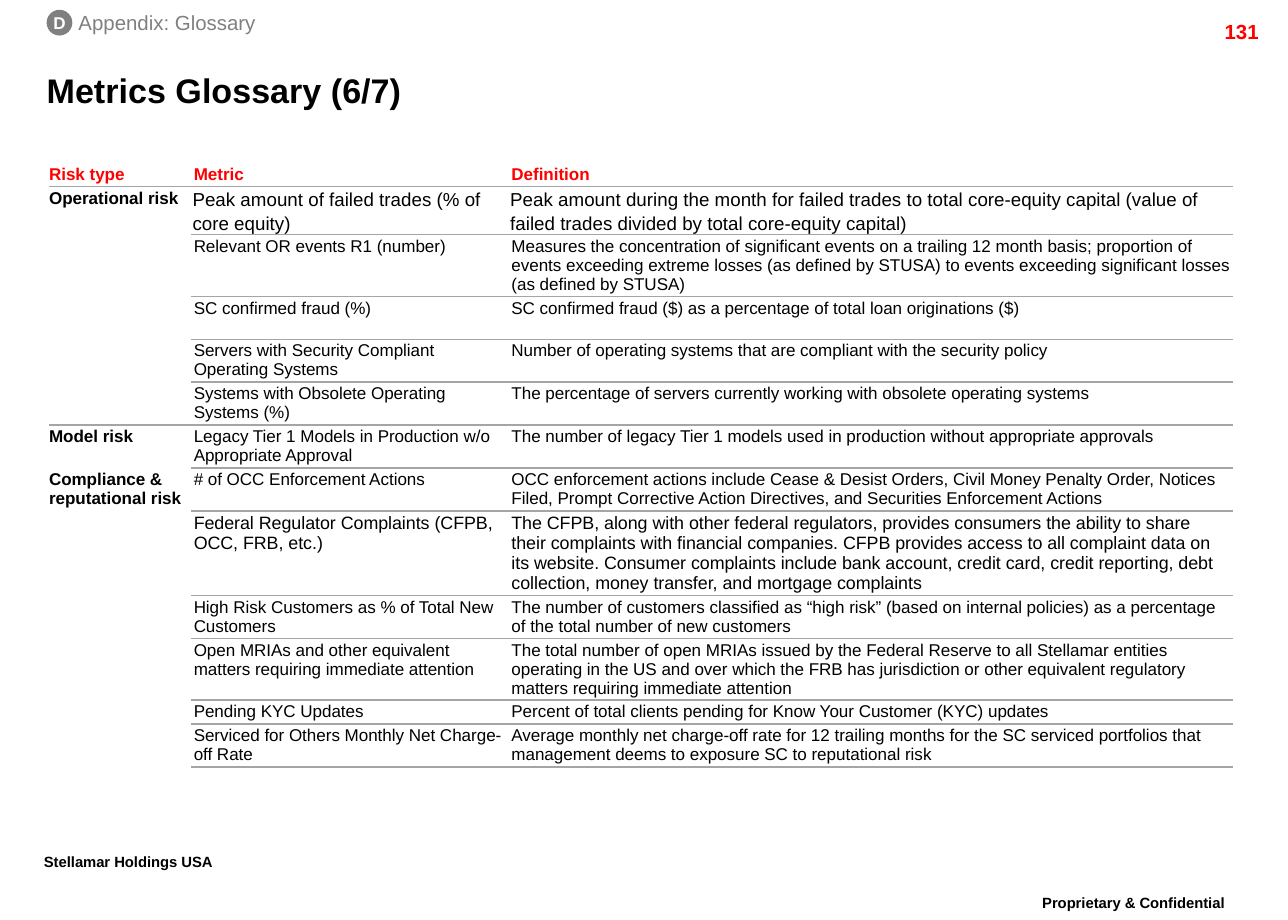
from dataclasses import dataclass

from lxml import etree
from pptx import Presentation
from pptx.dml.color import RGBColor
from pptx.enum.shapes import MSO_SHAPE
from pptx.enum.text import MSO_ANCHOR, PP_ALIGN
from pptx.oxml.ns import qn
from pptx.util import Inches, Pt

LEFT, CENTER, RIGHT = PP_ALIGN.LEFT, PP_ALIGN.CENTER, PP_ALIGN.RIGHT
TOP, MIDDLE = MSO_ANCHOR.TOP, MSO_ANCHOR.MIDDLE
OVAL = MSO_SHAPE.OVAL
PLAIN_TABLE_STYLE = "{2D5ABB26-0587-4C30-8999-92F81FD0307C}"
COLUMN_WIDTHS = (1.16, 2.59, 5.9)
CELL_INSET = 0.02
LINE_PITCH = 1.115


@dataclass(frozen=True)
class Theme:
    """Colours, font and type sizes of the slide."""
    font: str = "Arial"
    black: str = "000000"
    white: str = "FFFFFF"
    red: str = "FF0000"
    grey: str = "808080"
    rule: str = "A5A5A5"
    title: float = 20
    footer: float = 15
    label: float = 12
    body: float = 10


THEME = Theme()


@dataclass(frozen=True)
class Metric:
    """One glossary row with the number of text lines it needs."""
    lines: int
    name: str
    definition: str
    size: float = THEME.body
    spacing: float = 1.0
    inset: float = CELL_INSET

    def height(self):
        """Return the row height in inches."""
        return self.lines * self.size * self.spacing * LINE_PITCH / 72 + 2 * self.inset


HEADINGS = ("Risk type", "Metric", "Definition")
GLOSSARY = (
    ("Operational risk", (
        Metric(2, "Peak amount of failed trades (% of core equity)",
               "Peak amount during the month for failed trades to total core-equity capital "
               "(value of failed trades divided by total core-equity capital)", 11, 1.15, 0),
        Metric(3, "Relevant OR events R1 (number)",
               "Measures the concentration of significant events on a trailing 12 month basis; "
               "proportion of events exceeding extreme losses (as defined by STUSA) to events "
               "exceeding significant losses (as defined by STUSA)"),
        Metric(2, "SC confirmed fraud (%)",
               "SC confirmed fraud ($) as a percentage of total loan originations ($)"),
        Metric(2, "Servers with Security Compliant Operating Systems",
               "Number of operating systems that are compliant with the security policy"),
        Metric(2, "Systems with Obsolete Operating Systems (%)",
               "The percentage of servers currently working with obsolete operating systems"),
    )),
    ("Model risk", (
        Metric(2, "Legacy Tier 1 Models in Production w/o Appropriate Approval",
               "The number of legacy Tier 1 models used in production without appropriate "
               "approvals"),
    )),
    ("Compliance & reputational risk", (
        Metric(2, "# of OCC Enforcement Actions",
               "OCC enforcement actions include Cease & Desist Orders, Civil Money Penalty "
               "Order, Notices Filed, Prompt Corrective Action Directives, and Securities "
               "Enforcement Actions"),
        Metric(4, "Federal Regulator Complaints (CFPB, OCC, FRB, etc.)",
               "The CFPB, along with other federal regulators, provides consumers the ability "
               "to share their complaints with financial companies. CFPB provides access to all "
               "complaint data on its website. Consumer complaints include bank account, credit "
               "card, credit reporting, debt collection, money transfer, and mortgage "
               "complaints", 10.5),
        Metric(2, "High Risk Customers as % of Total New Customers",
               "The number of customers classified as “high risk” (based on internal policies) "
               "as a percentage of the total number of new customers"),
        Metric(3, "Open MRIAs and other equivalent matters requiring immediate attention",
               "The total number of open MRIAs issued by the Federal Reserve to all Stellamar "
               "entities operating in the US and over which the FRB has jurisdiction or other "
               "equivalent regulatory matters requiring immediate attention"),
        Metric(1, "Pending KYC Updates",
               "Percent of total clients pending for Know Your Customer (KYC) updates"),
        Metric(2, "Serviced for Others Monthly Net Charge-off Rate",
               "Average monthly net charge-off rate for 12 trailing months for the SC serviced "
               "portfolios that management deems to exposure SC to reputational risk"),
    )),
)


def write(frame, text, size, color, bold=False, align=LEFT, spacing=1.0):
    """Fill a text frame with one formatted paragraph and return its run."""
    frame.text = text
    paragraph = frame.paragraphs[0]
    paragraph.alignment = align
    paragraph.line_spacing = spacing
    span = paragraph.runs[0]
    span.font.name = THEME.font
    span.font.size = Pt(size)
    span.font.bold = bold
    span.font.color.rgb = RGBColor.from_string(color)
    return span


def set_insets(holder, left, top, right, bottom):
    """Set the inner margins of a text frame or a table cell."""
    holder.margin_left, holder.margin_top = Inches(left), Inches(top)
    holder.margin_right, holder.margin_bottom = Inches(right), Inches(bottom)


def add_label(page, place, text, size, color, bold=False, align=LEFT,
              anchor=TOP, inset=(0, 0), spacing=1.0):
    """Add a text box and return its run."""
    box = page.shapes.add_textbox(*map(Inches, place))
    frame = box.text_frame
    frame.word_wrap = True
    frame.vertical_anchor = anchor
    set_insets(frame, *inset, *inset)
    return write(frame, text, size, color, bold, align, spacing)


def add_footer(page, place, text, align):
    """Add a raised bold footer line."""
    span = add_label(page, place, text, THEME.footer, THEME.black, True, align,
                     inset=(0.1, 0.05), spacing=0.86)
    span.font._element.set("baseline", "30000")


def add_badge(page, place, letter):
    """Add the round section badge."""
    badge = page.shapes.add_shape(OVAL, *map(Inches, place))
    badge.shadow.inherit = False
    badge.fill.solid()
    badge.fill.fore_color.rgb = RGBColor.from_string(THEME.grey)
    badge.line.fill.background()
    frame = badge.text_frame
    frame.word_wrap = False
    frame.vertical_anchor = MIDDLE
    set_insets(frame, 0, 0, 0, 0)
    write(frame, letter, THEME.body, THEME.white, True, CENTER)


def rule_cell(cell, side, visible=True):
    """Draw or clear the rule on one side of a cell."""
    line = etree.Element(qn(f"a:{side}"), w=str(Pt(1)))
    if visible:
        fill = etree.SubElement(line, qn("a:solidFill"))
        etree.SubElement(fill, qn("a:srgbClr"), val=THEME.rule)
    else:
        etree.SubElement(line, qn("a:noFill"))
    cell._tc.get_or_add_tcPr().insert(0, line)


def fill_cell(cell, text, size=THEME.body, color=THEME.black, bold=False, anchor=TOP,
              left=CELL_INSET, inset=CELL_INSET, spacing=1.0):
    """Write a table cell without background, with a fixed line pitch."""
    cell.fill.background()
    cell.vertical_anchor = anchor
    set_insets(cell, left, inset, CELL_INSET, inset)
    pitch = Pt(size * spacing * LINE_PITCH)
    write(cell.text_frame, text, size, color, bold, spacing=pitch)


def add_glossary(page):
    """Add the table of risk types, metrics and definitions."""
    metrics = [metric for _, group in GLOSSARY for metric in group]
    heights = [0.2] + [metric.height() for metric in metrics]
    table = page.shapes.add_table(
        len(heights), len(HEADINGS), Inches(0.4), Inches(1.32),
        Inches(sum(COLUMN_WIDTHS)), Inches(sum(heights))).table
    table.first_row = table.horz_banding = False
    table._tbl.tblPr.find(qn("a:tableStyleId")).text = PLAIN_TABLE_STYLE
    for column, width in zip(table.columns, COLUMN_WIDTHS):
        column.width = Inches(width)
    for row, height in zip(table.rows, heights):
        row.height = Inches(height)
    for index, heading in enumerate(HEADINGS):
        cell = table.cell(0, index)
        fill_cell(cell, heading, color=THEME.red, bold=True, anchor=MIDDLE,
                  left=CELL_INSET if index else 0)
        rule_cell(cell, "lnB")
    for number, metric in enumerate(metrics, 1):
        for index, text in enumerate((metric.name, metric.definition), 1):
            cell = table.cell(number, index)
            fill_cell(cell, text, metric.size, left=metric.inset or 0.01,
                      inset=metric.inset, spacing=metric.spacing)
            rule_cell(cell, "lnB")
    first = 1
    for risk, group in GLOSSARY:
        cell = table.cell(first, 0)
        if len(group) > 1:
            cell.merge(table.cell(first + len(group) - 1, 0))
        fill_cell(cell, risk, bold=True, left=0)
        rule_cell(cell, "lnB", risk == "Operational risk")
        rule_cell(cell, "lnT", risk != "Compliance & reputational risk")
        first += len(group)


def main():
    """Build the glossary slide and save it."""
    deck = Presentation()
    deck.slide_width, deck.slide_height = Inches(10.5), Inches(7.5)
    page = deck.slides.add_slide(deck.slide_layouts[6])
    add_footer(page, (8.15, 7.25, 2.18, 0.35), "Proprietary & Confidential", CENTER)
    add_footer(page, (0.26, 6.91, 1.91, 0.35), "Stellamar Holdings USA", LEFT)
    add_label(page, (9.36, 0.11, 1, 0.24), "131", THEME.label, THEME.red, True, RIGHT,
              inset=(0.1, 0.05))
    add_label(page, (0.38, 0.49, 9.48, 0.48), "Metrics Glossary (6/7)", THEME.title,
              THEME.black, True, anchor=MIDDLE)
    add_glossary(page)
    add_label(page, (0.64, 0.08, 1.6, 0.2), "Appendix: Glossary", THEME.label, THEME.grey)
    add_badge(page, (0.38, 0.08, 0.21, 0.21), "D")
    deck.save("out.pptx")


if __name__ == "__main__":
    main()
